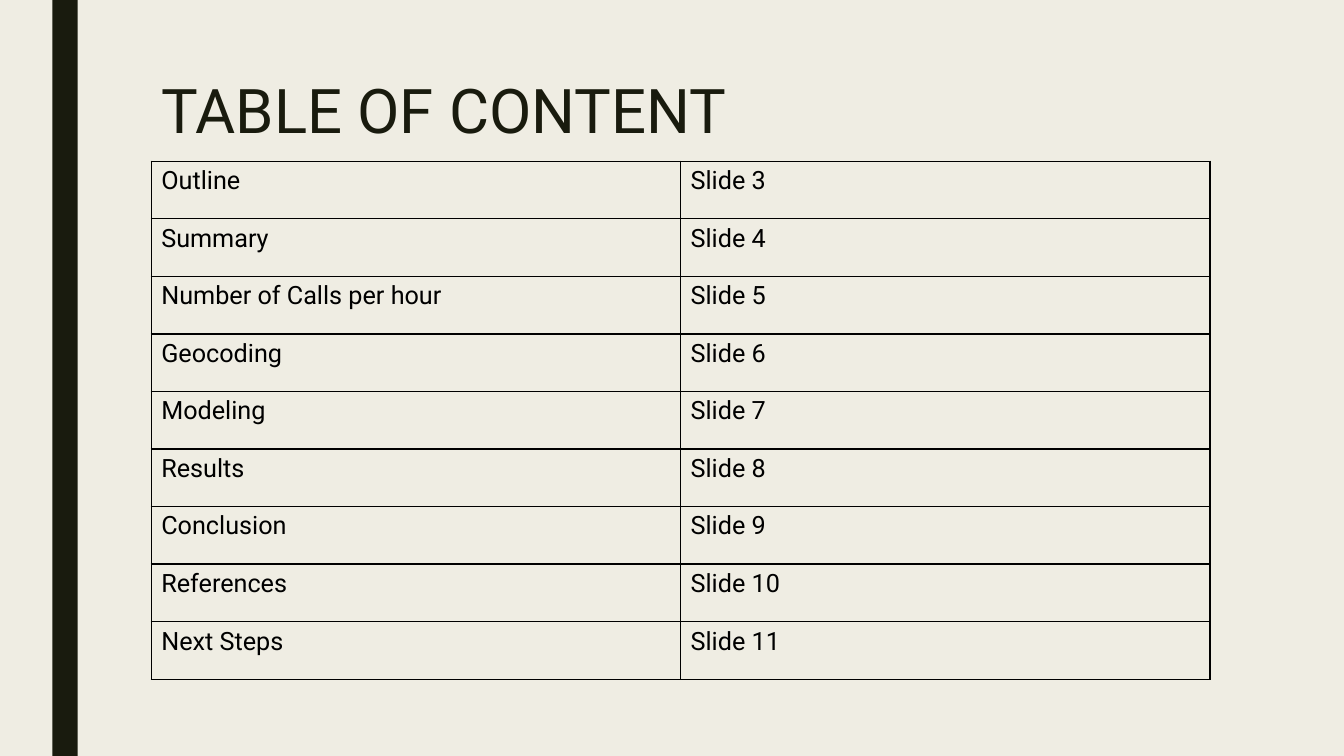
"""Build the table of contents slide."""
from lxml.etree import SubElement
from pptx import Presentation
from pptx.dml.color import RGBColor
from pptx.enum.shapes import MSO_SHAPE
from pptx.enum.text import MSO_ANCHOR
from pptx.oxml.ns import qn
from pptx.util import Inches, Pt

COLORS = {"background": "EFEDE3", "dark": "191B0E", "black": "000000"}
FONT = "Roboto"
TOPICS = ["Outline", "Summary", "Number of Calls per hour", "Geocoding", "Modeling",
          "Results", "Conclusion", "References", "Next Steps"]
FIRST_SLIDE = 3


def add_run(p, text, size, color):
    r = p.add_run()
    r.text = text
    r.font.name = FONT
    r.font.size = Pt(size)
    r.font.color.rgb = RGBColor.from_string(COLORS[color])


def add_borders(cell):
    tcPr = cell._tc.get_or_add_tcPr()
    for i, side in enumerate(("a:lnL", "a:lnR", "a:lnT", "a:lnB")):
        ln = SubElement(tcPr, qn(side), w=str(Pt(1)))
        fill = SubElement(ln, qn("a:solidFill"))
        SubElement(fill, qn("a:srgbClr"), val=COLORS["black"])
        tcPr.insert(i, ln)


prs = Presentation()
prs.slide_width = Inches(13.33)
prs.slide_height = Inches(7.5)
s = prs.slides.add_slide(prs.slide_layouts[6])
s.background.fill.solid()
s.background.fill.fore_color.rgb = RGBColor.from_string(COLORS["background"])

bar = s.shapes.add_shape(MSO_SHAPE.RECTANGLE, Inches(0.52), 0, Inches(0.25), Inches(7.5))
bar.shadow.inherit = False
bar.fill.solid()
bar.fill.fore_color.rgb = RGBColor.from_string(COLORS["dark"])
bar.line.fill.background()

title = s.shapes.add_textbox(Inches(1.5), Inches(0.75), Inches(10.5), Inches(1.62))
tf = title.text_frame
tf.word_wrap = True
tf.vertical_anchor = MSO_ANCHOR.TOP
p = tf.paragraphs[0]
p.line_spacing = 0.89
add_run(p, "TABLE OF CONTENT", 44, "dark")

frame = s.shapes.add_table(len(TOPICS), 2, Inches(1.5), Inches(1.6), Inches(10.5), Inches(5.14))
table = frame.table
table.first_row = False
table.horz_banding = False
for row, (number, topic) in zip(table.rows, enumerate(TOPICS, FIRST_SLIDE)):
    for cell, text in zip(row.cells, (topic, f"Slide {number}")):
        cell.fill.background()
        add_borders(cell)
        add_run(cell.text_frame.paragraphs[0], text, 18, "black")

prs.save("out.pptx")
